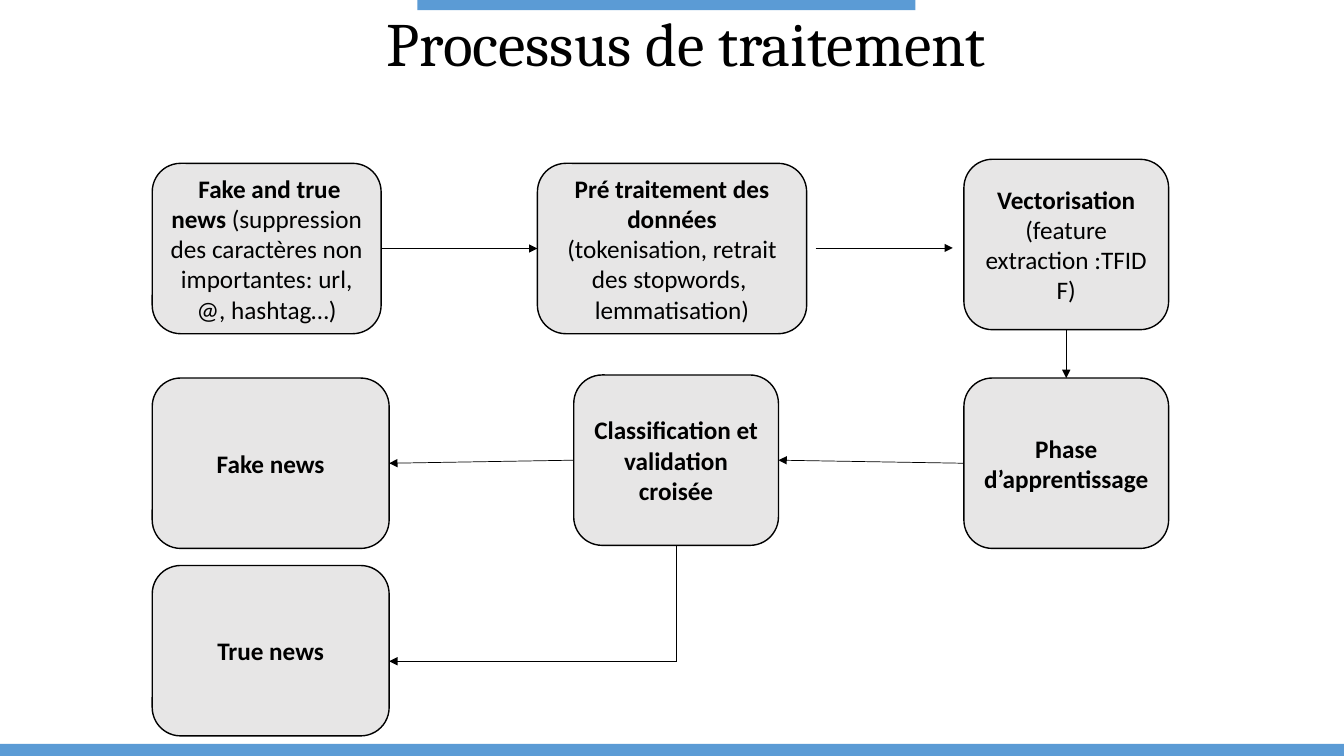
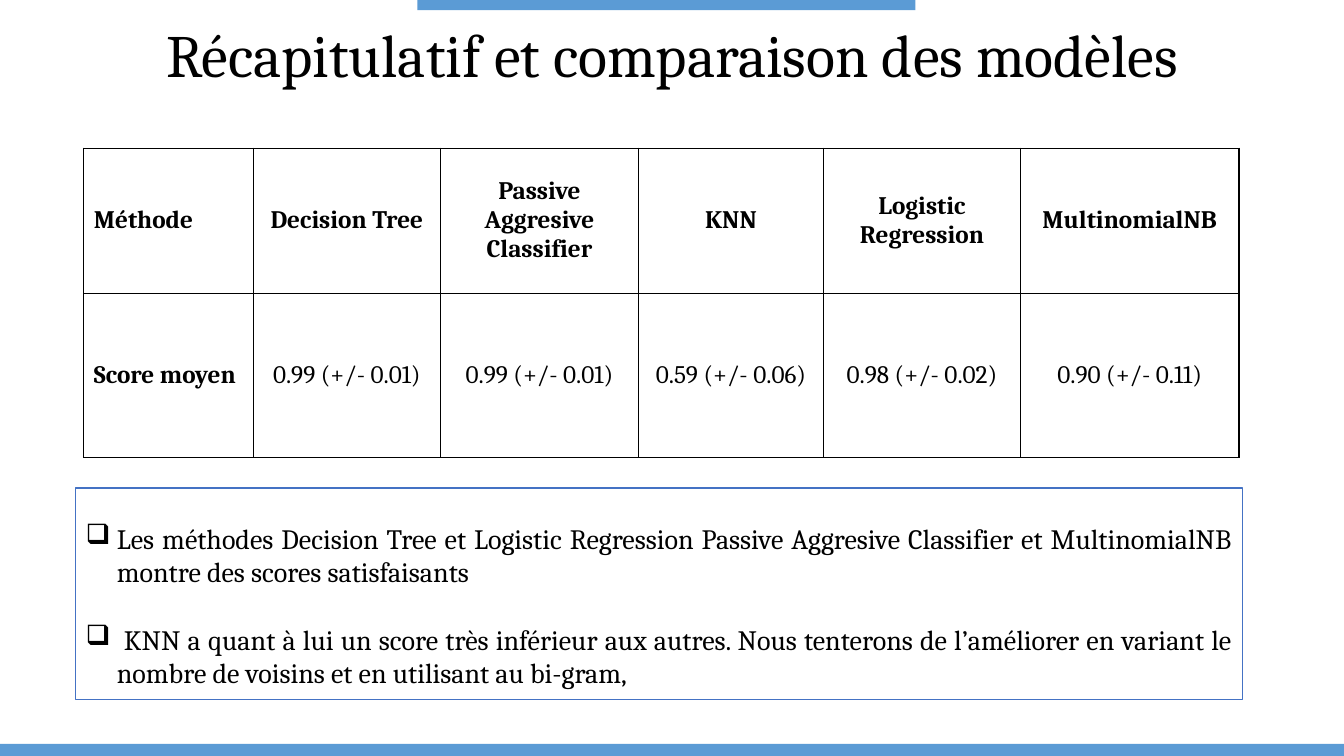
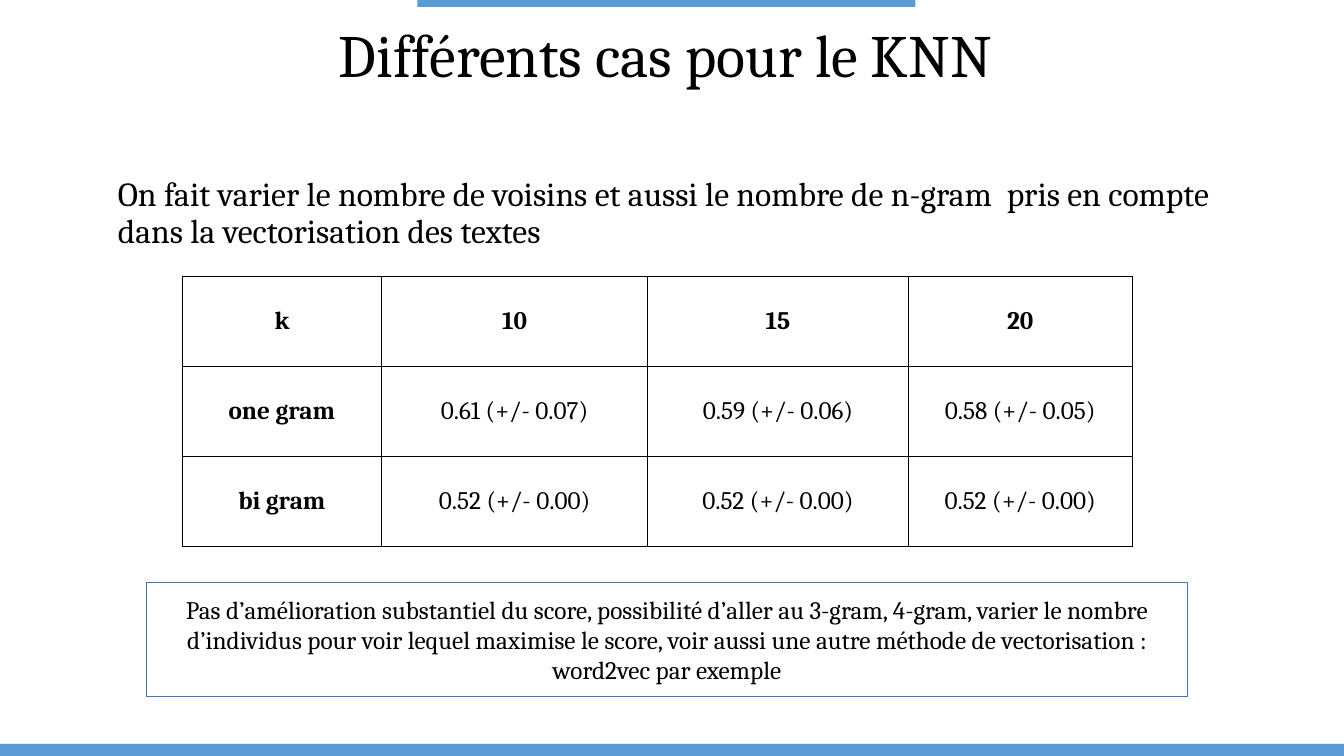
from collections import namedtuple

from lxml.etree import SubElement
from pptx import Presentation
from pptx.dml.color import RGBColor
from pptx.enum.shapes import MSO_CONNECTOR, MSO_SHAPE
from pptx.enum.text import MSO_ANCHOR, PP_ALIGN
from pptx.oxml.ns import qn
from pptx.util import Inches, Pt

WIDTH, HEIGHT = 13.33, 7.5
COLORS = {"ink": "000000", "band": "5B9BD5", "step": "E7E6E6",
          "paper": "FFFFFF", "frame": "4472C4"}
HEADING_FONT, STEP_FONT = "Cambria", "Calibri"
TOP, LEFT, BOTTOM, RIGHT = range(4)


class Box(namedtuple("Box", "x y w h")):
    def within(self, x, y, w=0, h=0):
        return Box(self.x + self.w * x / 100, self.y + self.h * y / 100,
                   self.w * w / 100, self.h * h / 100)

    def emu(self):
        return [Inches(length) for length in self]


PAGE = Box(0, 0, WIDTH, HEIGHT)


def color(name):
    return RGBColor.from_string(COLORS[name])


def apply(target, values):
    for attribute, value in values.items():
        setattr(target, attribute, value)


def write(frame, paragraphs, size, font=HEADING_FONT, anchor=MSO_ANCHOR.MIDDLE, **layout):
    apply(frame, {"word_wrap": True, "vertical_anchor": anchor})
    for index, runs in enumerate(paragraphs):
        paragraph = frame.add_paragraph() if index else frame.paragraphs[0]
        apply(paragraph, {"alignment": PP_ALIGN.CENTER, **layout})
        for words, bold in runs:
            run = paragraph.add_run()
            run.text = words
            apply(run.font, {"name": font, "size": Pt(size), "bold": bold})
            run.font.color.rgb = color("ink")


def panel(slide, box, fill, line=None, kind=MSO_SHAPE.RECTANGLE):
    shape = slide.shapes.add_shape(kind, *box.emu())
    shape.shadow.inherit = False
    shape.fill.solid()
    shape.fill.fore_color.rgb = color(fill)
    if line:
        shape.line.color.rgb = color(line)
        shape.line.width = Pt(1)
    else:
        shape.line.fill.background()
    return shape


def caption(slide, box, words, size, alignment=PP_ALIGN.CENTER):
    holder = slide.shapes.add_textbox(*box.emu())
    write(holder.text_frame, [[(words, False)]], size,
          alignment=alignment, line_spacing=0.9)


def themed_slide(deck, title, title_box=PAGE.within(2.18, 2.27, 95.65, 10.8),
                 size=42.9, band_top=0):
    slide = deck.slides.add_slide(deck.slide_layouts[6])
    panel(slide, PAGE.within(31.06, band_top, 37.06, 1.33), "band")
    panel(slide, PAGE.within(0, 98.4, 100, 1.6), "band")
    caption(slide, title_box, title, size)
    return slide


def link(slide, start, end, arrow=True):
    points = [Inches(length) for length in (start.x, start.y, end.x, end.y)]
    connector = slide.shapes.add_connector(MSO_CONNECTOR.STRAIGHT, *points)
    connector.line.color.rgb = color("ink")
    connector.line.width = Pt(0.5)
    properties = connector._element.spPr
    if arrow:
        SubElement(properties.get_or_add_ln(), qn("a:tailEnd"), type="triangle")
    SubElement(properties, qn("a:effectLst"))
    return connector


def flowchart(slide, box, steps, joins, arrows, stem):
    shapes = {}
    for name, (x, y, width, runs) in steps.items():
        shapes[name] = panel(slide, box.within(x, y, width, 29.55), "step", "ink",
                             MSO_SHAPE.ROUNDED_RECTANGLE)
        write(shapes[name].text_frame, [runs], 18, STEP_FONT)
    for origin, exit_side, target, entry_side in joins:
        arrow = link(slide, box, box)
        arrow.begin_connect(shapes[origin], exit_side)
        arrow.end_connect(shapes[target], entry_side)
    for start, end in arrows:
        link(slide, box.within(*start), box.within(*end))
    link(slide, *[box.within(*point) for point in stem], arrow=False)


def border(cell):
    properties = cell._tc.get_or_add_tcPr()
    for side in ("lnL", "lnR", "lnT", "lnB"):
        edge = SubElement(properties, qn("a:" + side), w=str(Pt(1)))
        fill = SubElement(edge, qn("a:solidFill"))
        SubElement(fill, qn("a:srgbClr"), val=COLORS["ink"])


def score_table(slide, box, rows, columns, heights, label_alignment=PP_ALIGN.CENTER):
    table = slide.shapes.add_table(len(rows), len(columns), *box.emu()).table
    apply(table, {"first_row": False, "horz_banding": False})
    for column, share in zip(table.columns, columns):
        column.width = Inches(box.w * share / sum(columns))
    for row, share in zip(table.rows, heights):
        row.height = Inches(box.h * share / sum(heights))
    for r, values in enumerate(rows):
        for c, value in enumerate(values):
            cell = table.cell(r, c)
            border(cell)
            cell.fill.background()
            cell.vertical_anchor = MSO_ANCHOR.MIDDLE
            write(cell.text_frame, [[(value, r == 0 or c == 0)]], 18, anchor=None,
                  alignment=PP_ALIGN.CENTER if c else label_alignment)


def remark(slide, box, paragraphs, size, **layout):
    frame = panel(slide, box, "paper", "frame").text_frame
    write(frame, paragraphs, size, **layout)
    return frame


def add_bullets(frame, indent):
    for paragraph in frame.paragraphs:
        properties = paragraph._p.get_or_add_pPr()
        properties.set("marL", str(Inches(indent)))
        properties.set("indent", str(-Inches(indent)))
        SubElement(properties, qn("a:buChar"), char="❑")


def process_slide(deck):
    slide = themed_slide(deck, "Processus de traitement",
                         PAGE.within(7.95, 0.8, 86.27, 10.8), 44)
    steps = {
        "news": (0, 0.7, 22.52, [
            (" ", False), ("Fake and true news ", True),
            ("(suppression des caractères non importantes: url, @, hashtag…)", False)]),
        "cleaning": (37.9, 0.7, 26.49, [
            ("Pré traitement des données", True),
            (" (tokenisation, retrait des stopwords,  lemmatisation)", False)]),
        "classifying": (41.47, 37.41, 20.14, [
            ("Classification et validation croisée", True)]),
        "vectors": (79.86, 0, 20.14, [
            ("Vectorisation ", True), ("(feature extraction :TFIDF)", False)]),
        "learning": (79.86, 37.94, 20.14, [("Phase d’apprentissage", True)]),
        "true": (0, 70.45, 23.31, [("True news", True)]),
        "fake": (0, 37.94, 23.31, [("Fake news", True)]),
    }
    joins = [("news", RIGHT, "cleaning", LEFT),
             ("vectors", BOTTOM, "learning", TOP),
             ("learning", LEFT, "classifying", RIGHT),
             ("classifying", LEFT, "fake", RIGHT)]
    corner = (51.59, 87.06)
    arrows = [((65.28, 15.38), (78.77, 15.38)), (corner, (23.31, 87.06))]
    flowchart(slide, PAGE.within(11.33, 21.07, 75.62, 76.27), steps, joins, arrows,
              ((51.59, 66.96), corner))


def comparison_slide(deck):
    slide = themed_slide(deck, "Récapitulatif et comparaison des modèles")
    score_table(slide, PAGE.within(6.23, 19.6, 85.97, 40.93), [
        ["Méthode", "Decision Tree", "Passive Aggresive Classifier", "KNN",
         "Logistic Regression", "MultinomialNB"],
        ["Score moyen", "0.99 (+/- 0.01)", "0.99 (+/- 0.01)", "0.59 (+/- 0.06)",
         "0.98 (+/- 0.02)", "0.90 (+/- 0.11)"],
    ], [1.68, 1.86, 1.96, 1.84, 1.95, 2.17], [1.44, 1.63], PP_ALIGN.LEFT)
    findings = [
        "Les méthodes Decision Tree et Logistic Regression Passive Aggresive Classifier "
        "et MultinomialNB montre des scores satisfaisants",
        " KNN a quant à lui un score très inférieur aux autres. Nous tenterons de "
        "l’améliorer en variant le nombre de voisins et en utilisant au bi-gram, ",
    ]
    frame = remark(slide, PAGE.within(5.63, 64.53, 86.8, 28),
                   [[(finding, False)] for finding in findings], 20,
                   anchor=MSO_ANCHOR.BOTTOM, alignment=PP_ALIGN.JUSTIFY)
    frame.paragraphs[1].space_before = Pt(24)
    frame.margin_bottom = Inches(0.1)
    add_bullets(frame, 0.31)


def neighbours_slide(deck):
    slide = themed_slide(deck, "Différents cas pour le KNN ", band_top=-0.4)
    caption(slide, PAGE.within(8.03, 18.67, 86.27, 19.33),
            "On fait varier le nombre de voisins et aussi le nombre de n-gram  pris en "
            "compte dans la vectorisation des textes", 24, PP_ALIGN.LEFT)
    score_table(slide, PAGE.within(13.58, 36.53, 70.67, 35.73), [
        ["k", "10", "15", "20"],
        ["one gram", "0.61 (+/- 0.07)", "0.59 (+/- 0.06)", "0.58 (+/- 0.05)"],
        ["bi gram"] + ["0.52 (+/- 0.00)"] * 3,
    ], [1.97, 2.64, 2.58, 2.22], [1, 1, 1])
    remark(slide, PAGE.within(10.88, 77.07, 77.49, 15.07), [[(
        "Pas d’amélioration substantiel du score, possibilité d’aller au 3-gram, 4-gram, "
        "varier le nombre d’individus pour voir lequel maximise le score, voir aussi une "
        "autre méthode de vectorisation : word2vec par exemple", False)]], 18)


deck = Presentation()
apply(deck, {"slide_width": Inches(WIDTH), "slide_height": Inches(HEIGHT)})
for build in (process_slide, comparison_slide, neighbours_slide):
    build(deck)
deck.save("out.pptx")
